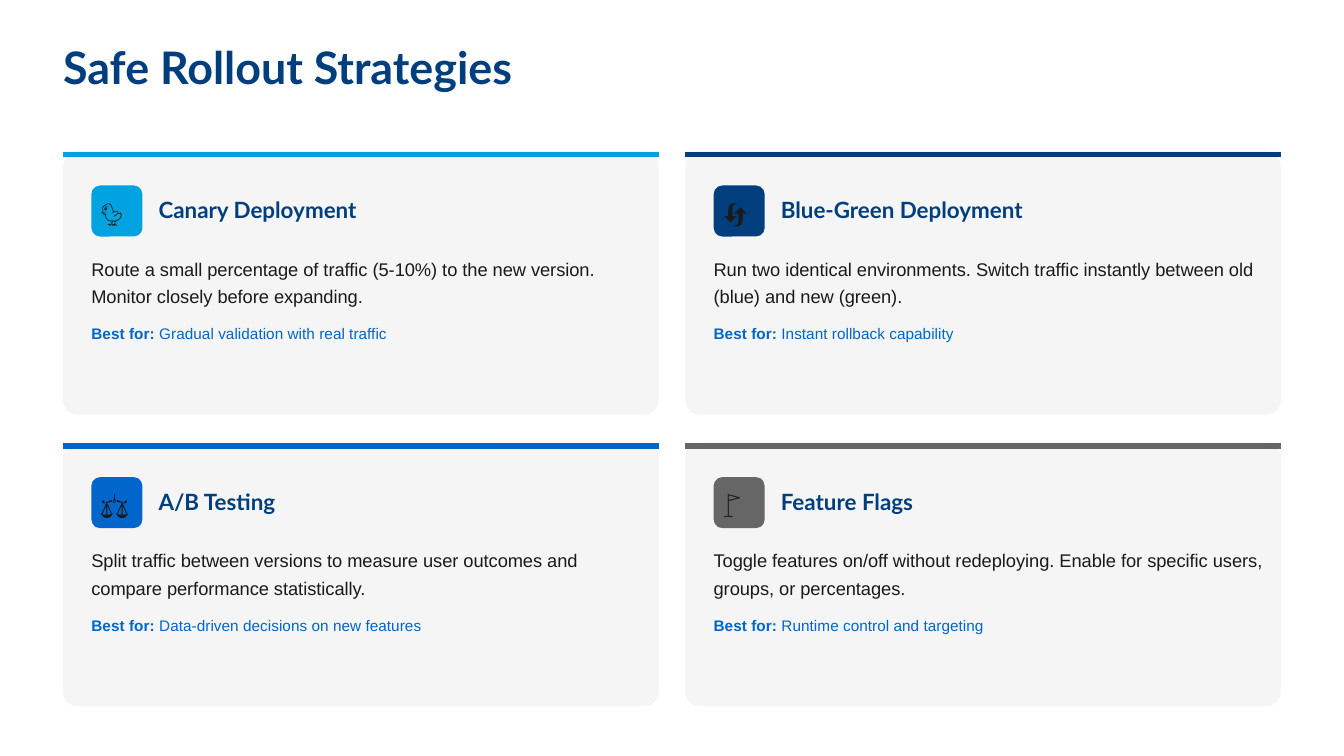
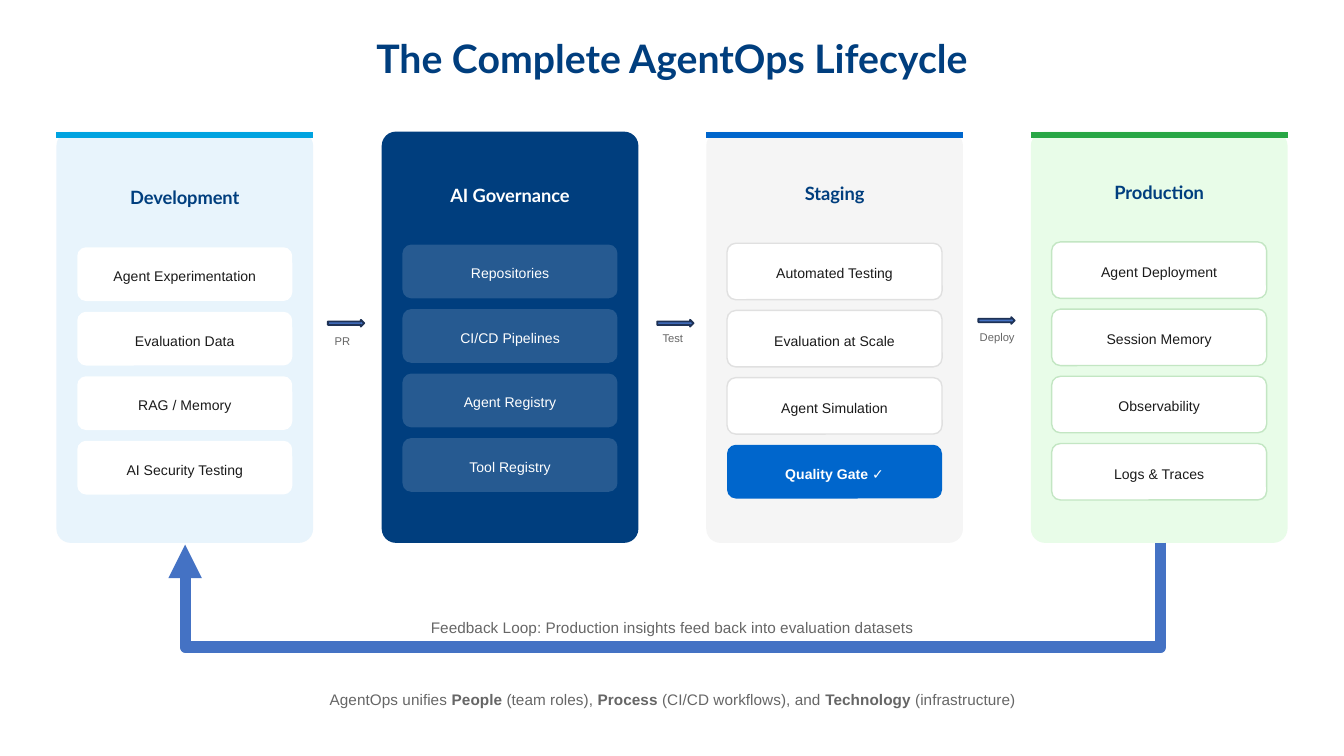
from dataclasses import dataclass, replace
from typing import NamedTuple

from lxml import etree
from pptx import Presentation
from pptx.dml.color import RGBColor
from pptx.enum.shapes import MSO_CONNECTOR, MSO_SHAPE
from pptx.enum.text import MSO_ANCHOR, MSO_AUTO_SIZE, PP_ALIGN
from pptx.oxml.ns import qn
from pptx.util import Pt

EMU_PER_PX = 4572  # 200 px to the inch
SLIDE_WIDTH, SLIDE_HEIGHT = 2000, 1125
TITLE_ONLY = 5

ROUNDED = MSO_SHAPE.ROUNDED_RECTANGLE
RIGHT_ARROW = MSO_SHAPE.RIGHT_ARROW
STRAIGHT, ELBOW = MSO_CONNECTOR.STRAIGHT, MSO_CONNECTOR.ELBOW
LEFT, CENTER = PP_ALIGN.LEFT, PP_ALIGN.CENTER

NAVY, BLUE, CYAN, GREEN = "003E7E", "0066CC", "00A3E0", "28A745"
INK, GRAY, LIGHT, WHITE = "1A1A1A", "666666", "F5F5F5", "FFFFFF"
ARROW_FILL, ARROW_LINE = "4472C4", "1E3256"

PANEL_RADIUS, CHIP_RADIUS = 21, 13
BAND_POINTS = 3


class Box(NamedTuple):
    left: int
    top: int
    width: int
    height: int


class Run(NamedTuple):
    text: str
    bold: bool = False


@dataclass(frozen=True)
class TextStyle:
    size: float
    line: float
    color: str
    font: str = "Arial"
    align: PP_ALIGN = LEFT
    before: float = 3
    after: float = 3


TITLE = TextStyle(24, 24, NAVY, "Lato", before=0, after=0)
CENTERED_TITLE = replace(TITLE, size=21, line=21, align=CENTER)
CARD_HEADING = TextStyle(12, 14.4, NAVY, "Lato", before=0, after=0)
ICON = TextStyle(13.5, 18.9, INK)
DESCRIPTION = TextStyle(9.75, 14.62, INK, after=7.5)
BEST_FOR = TextStyle(8.25, 11.55, BLUE)
STAGE_HEADING = TextStyle(9.75, 11.7, NAVY, "Lato", CENTER, 0, 9)
CHIP_TEXT = TextStyle(7.5, 10.5, INK, align=CENTER)
HANDOFF_LABEL = TextStyle(6, 8.4, GRAY)
CAPTION = TextStyle(8.25, 11.55, GRAY, align=CENTER)


class Card(NamedTuple):
    heading: str
    heading_width: int
    icon: str
    color: str
    description: str
    best_for: str


class Chip(NamedTuple):
    text: str
    fill: str = WHITE
    color: str = INK
    outline: str | None = None
    opacity: int = 100
    bold: bool = False


class Stage(NamedTuple):
    heading: str
    left: int
    heading_top: int
    fill: str
    band: str | None
    heading_color: str
    chip_pitch: int
    chips: list[Chip]


class Handoff(NamedTuple):
    label: str
    arrow_left: int
    arrow_top: int
    label_left: int
    label_top: int


CARDS = [
    Card("Canary Deployment", 320, "🐤", CYAN,
         "Route a small percentage of traffic (5-10%) to the new version. "
         "Monitor closely before expanding.",
         "Gradual validation with real traffic"),
    Card("Blue-Green Deployment", 388, "🔄", NAVY,
         "Run two identical environments. Switch traffic instantly between "
         "old (blue) and new (green).",
         "Instant rollback capability"),
    Card("A/B Testing", 186, "⚖️", BLUE,
         "Split traffic between versions to measure user outcomes and "
         "compare performance statistically.",
         "Data-driven decisions on new features"),
    Card("Feature Flags", 222, "🚩", GRAY,
         "Toggle features on/off without redeploying. Enable for specific "
         "users, groups, or percentages.",
         "Runtime control and targeting"),
]

STAGES = [
    Stage("Development", 84, 278, "E8F4FC", CYAN, NAVY, 96,
          [Chip(text) for text in ("Agent Experimentation", "Evaluation Data",
                                   "RAG / Memory", "AI Security Testing")]),
    Stage("AI Governance", 568, 274, NAVY, None, WHITE, 96,
          [Chip(text, color=WHITE, opacity=15)
           for text in ("Repositories", "CI/CD Pipelines",
                        "Agent Registry", "Tool Registry")]),
    Stage("Staging", 1051, 272, LIGHT, BLUE, NAVY, 100,
          [Chip(text, outline="E0E0E0")
           for text in ("Automated Testing", "Evaluation at Scale", "Agent Simulation")]
          + [Chip("Quality Gate ✓", BLUE, WHITE, bold=True)]),
    Stage("Production", 1534, 270, "E8FCE8", GREEN, NAVY, 100,
          [Chip(text, outline="C3E6C3")
           for text in ("Agent Deployment", "Session Memory",
                        "Observability", "Logs & Traces")]),
]

HANDOFFS = [
    Handoff("PR", 488, 476, 498, 494),
    Handoff("Test", 978, 476, 986, 490),
    Handoff("Deploy", 1456, 472, 1458, 488),
]


def px(length: int) -> int:
    return length * EMU_PER_PX


def rgb(color: str) -> RGBColor:
    return RGBColor.from_string(color)


def fill_text(shape, runs: list[Run], style: TextStyle) -> None:
    frame = shape.text_frame
    frame.word_wrap = True
    frame.auto_size = MSO_AUTO_SIZE.NONE
    frame.vertical_anchor = MSO_ANCHOR.TOP
    frame.margin_left = frame.margin_right = 0
    frame.margin_top = frame.margin_bottom = 0
    paragraph = frame.paragraphs[0]
    paragraph.alignment = style.align
    paragraph.line_spacing = Pt(style.line)
    paragraph.space_before = Pt(style.before)
    paragraph.space_after = Pt(style.after)
    for text, bold in runs:
        run = paragraph.add_run()
        run.text = text
        run.font.name = style.font
        run.font.size = Pt(style.size)
        run.font.bold = bold
        run.font.color.rgb = rgb(style.color)


def add_text(slide, box: Box, runs: list[Run], style: TextStyle) -> None:
    fill_text(slide.shapes.add_textbox(*map(px, box)), runs, style)


def add_titled_slide(presentation, title: str, box: Box, style: TextStyle):
    slide = presentation.slides.add_slide(presentation.slide_layouts[TITLE_ONLY])
    shape = slide.shapes.title
    shape.left, shape.top, shape.width, shape.height = map(px, box)
    fill_text(shape, [Run(title, True)], style)
    return slide


def add_filled_shape(slide, kind, box: Box, fill: str, outline: str | None = None,
                     outline_points: float = 0.75):
    shape = slide.shapes.add_shape(kind, *map(px, box))
    shape.shadow.inherit = False
    shape.fill.solid()
    shape.fill.fore_color.rgb = rgb(fill)
    if outline:
        shape.line.color.rgb = rgb(outline)
        shape.line.width = Pt(outline_points)
    else:
        shape.line.fill.background()
    return shape


def add_rounded(slide, box: Box, radius: int, fill: str, outline: str | None = None):
    shape = add_filled_shape(slide, ROUNDED, box, fill, outline)
    shape.adjustments[0] = radius / min(box.width, box.height)
    return shape


def set_opacity(shape, percent: int) -> None:
    color = shape._element.spPr.find(qn("a:solidFill")).find(qn("a:srgbClr"))
    etree.SubElement(color, qn("a:alpha")).set("val", str(percent * 1000))


def add_line(slide, kind, start: tuple[int, int], end: tuple[int, int],
             color: str, points: float):
    connector = slide.shapes.add_connector(kind, *map(px, start + end))
    connector.line.color.rgb = rgb(color)
    connector.line.width = Pt(points)
    etree.SubElement(connector._element.spPr, qn("a:effectLst"))
    return connector


def add_panel(slide, box: Box, fill: str, band: str | None) -> None:
    """Draw a rounded panel with a coloured band along its top edge."""
    add_rounded(slide, box, PANEL_RADIUS, fill)
    if band:
        y = box.top + 5
        add_line(slide, STRAIGHT, (box.left, y), (box.left + box.width, y),
                 band, BAND_POINTS)


def add_card(slide, card: Card, left: int, top: int) -> None:
    add_panel(slide, Box(left, top, 886, 392), LIGHT, card.color)
    inner = left + 42
    add_rounded(slide, Box(inner, top + 51, 76, 76), CHIP_RADIUS, card.color)
    add_text(slide, Box(inner + 14, top + 61, 48, 52), [Run(card.icon)], ICON)
    add_text(slide, Box(left + 142, top + 67, card.heading_width, 40),
             [Run(card.heading, True)], CARD_HEADING)
    add_text(slide, Box(inner, top + 151, 818, 82), [Run(card.description)], DESCRIPTION)
    add_text(slide, Box(inner, top + 253, 818, 32),
             [Run("Best for:", True), Run(f" {card.best_for}")], BEST_FOR)


def add_chip(slide, chip: Chip, left: int, top: int) -> None:
    border = 2 if chip.outline else 0
    box = Box(left, top, 320, 80 + 2 * border)
    shape = add_rounded(slide, box, CHIP_RADIUS, chip.fill, chip.outline)
    if chip.opacity < 100:
        set_opacity(shape, chip.opacity)
    inset = 18 + border
    add_text(slide, Box(left + inset, top + 26 + border, box.width - 2 * inset, 30),
             [Run(chip.text, chip.bold)], replace(CHIP_TEXT, color=chip.color))


def add_stage(slide, stage: Stage) -> None:
    add_panel(slide, Box(stage.left, 196, 382, 612), stage.fill, stage.band)
    add_text(slide, Box(stage.left + 28, stage.heading_top, 326, 32),
             [Run(stage.heading, True)],
             replace(STAGE_HEADING, color=stage.heading_color))
    for index, chip in enumerate(stage.chips):
        add_chip(slide, chip, stage.left + 31,
                 stage.heading_top + 90 + index * stage.chip_pitch)


def add_handoff(slide, handoff: Handoff) -> None:
    add_filled_shape(slide, RIGHT_ARROW,
                     Box(handoff.arrow_left, handoff.arrow_top, 54, 10),
                     ARROW_FILL, ARROW_LINE, 1)
    add_text(slide, Box(handoff.label_left, handoff.label_top, 54, 24),
             [Run(handoff.label)], HANDOFF_LABEL)


def add_feedback_arrow(slide) -> None:
    """Draw the U-shaped arrow: an elbow turned by 90 degrees around its centre."""
    rise, span, depth = 3, 1452, 156
    left, top = 1000, 83
    connector = add_line(slide, ELBOW, (left, top), (left + rise, top + span),
                         ARROW_FILL, 6)
    properties = connector._element.spPr
    properties.find(qn("a:xfrm")).set("rot", str(90 * 60000))
    guide = etree.SubElement(properties.find(qn("a:prstGeom")).find(qn("a:avLst")),
                             qn("a:gd"))
    guide.set("name", "adj1")
    guide.set("fmla", f"val {depth * 100000 // rise}")
    etree.SubElement(properties.find(qn("a:ln")), qn("a:tailEnd")).set("type", "triangle")


def build_rollout_slide(presentation) -> None:
    slide = add_titled_slide(presentation, "Safe Rollout Strategies",
                             Box(94, 72, 926, 66), TITLE)
    for index, card in enumerate(CARDS):
        row, column = divmod(index, 2)
        add_card(slide, card, 94 + column * 926, 225 + row * 434)


def build_lifecycle_slide(presentation) -> None:
    slide = add_titled_slide(presentation, "The Complete AgentOps Lifecycle",
                             Box(518, 62, 964, 58), CENTERED_TITLE)
    for stage in STAGES:
        add_stage(slide, stage)
    for handoff in HANDOFFS:
        add_handoff(slide, handoff)
    add_text(slide, Box(620, 916, 762, 32),
             [Run("Feedback Loop: Production insights feed back into evaluation datasets")],
             CAPTION)
    add_text(slide, Box(66, 1022, 1870, 32),
             [Run("AgentOps unifies "), Run("People", True), Run(" (team roles), "),
              Run("Process", True), Run(" (CI/CD workflows), and "),
              Run("Technology", True), Run(" (infrastructure)")], CAPTION)
    add_feedback_arrow(slide)


def main() -> None:
    presentation = Presentation()
    presentation.slide_width, presentation.slide_height = px(SLIDE_WIDTH), px(SLIDE_HEIGHT)
    build_rollout_slide(presentation)
    build_lifecycle_slide(presentation)
    presentation.save("out.pptx")


if __name__ == "__main__":
    main()
